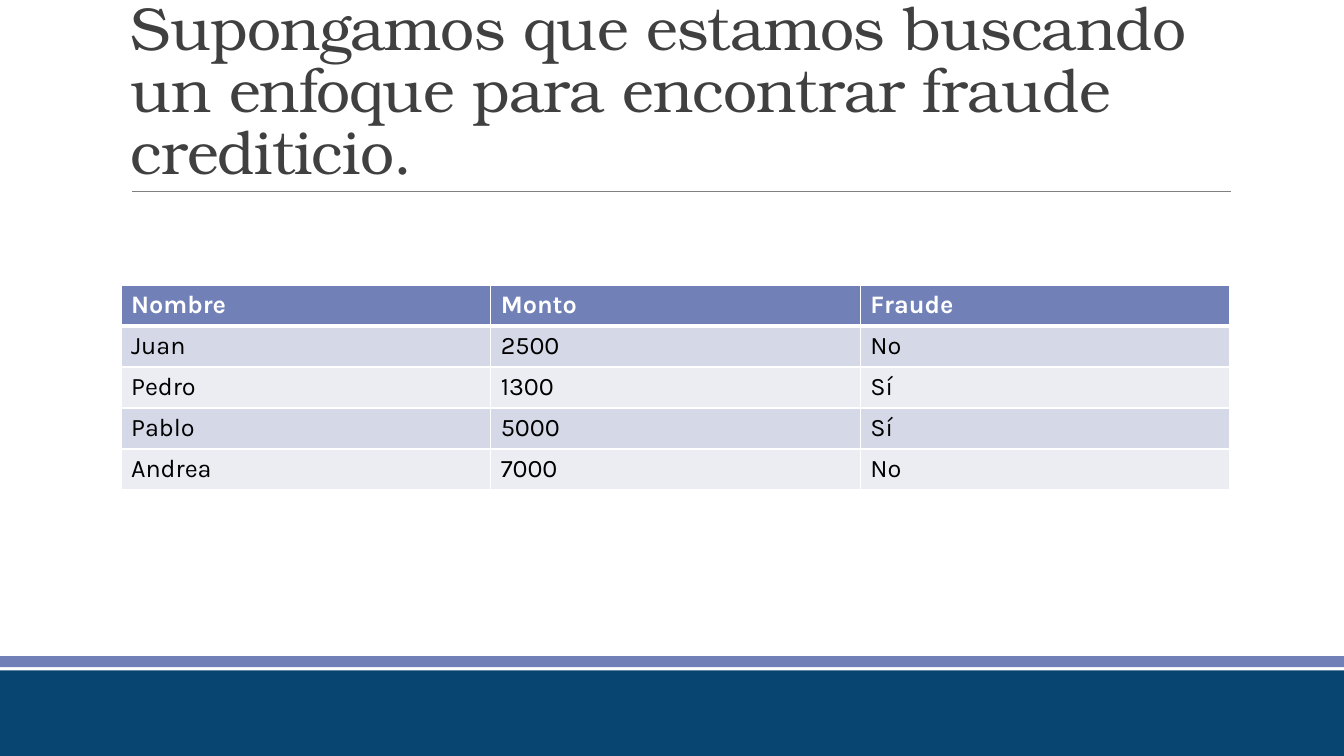
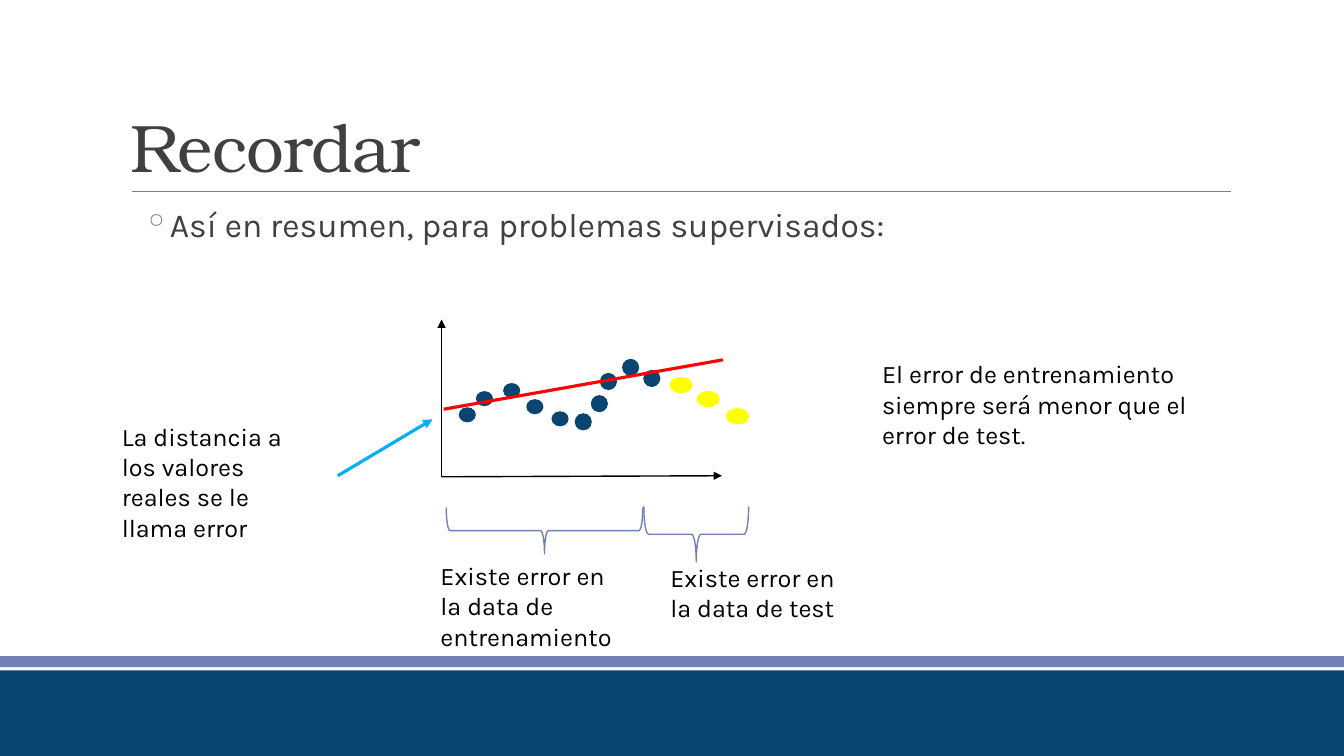
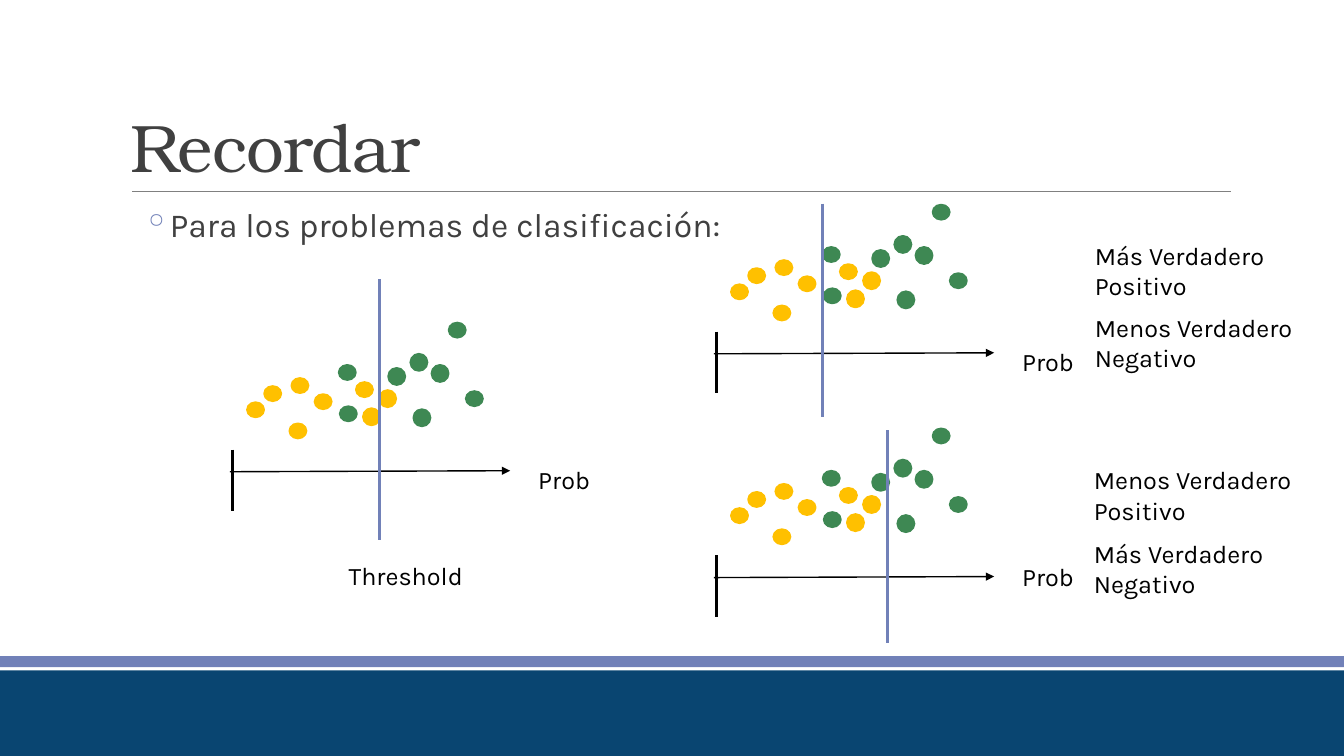
from dataclasses import dataclass

from pptx import Presentation
from pptx.dml.color import RGBColor
from pptx.enum.shapes import MSO_CONNECTOR, MSO_SHAPE
from pptx.enum.text import MSO_ANCHOR, MSO_AUTO_SIZE
from pptx.oxml.ns import qn
from pptx.oxml.xmlchemy import OxmlElement
from pptx.presentation import Presentation as Deck
from pptx.shapes.autoshape import Shape
from pptx.slide import Slide
from pptx.table import _Cell as Cell
from pptx.text.text import Font
from pptx.util import Emu, Pt

EMU_PER_PX = 9144
BLANK_LAYOUT = 6
STRAIGHT = MSO_CONNECTOR.STRAIGHT
RECTANGLE = MSO_SHAPE.RECTANGLE
OVAL = MSO_SHAPE.OVAL
RIGHT_BRACE = MSO_SHAPE.RIGHT_BRACE
ANCHOR_BOTTOM = MSO_ANCHOR.BOTTOM
FIT_SHAPE = MSO_AUTO_SIZE.SHAPE_TO_FIT_TEXT


@dataclass(frozen=True)
class Theme:
    heading_font: str = "TeX Gyre Bonum"
    body_font: str = "Karla"
    title_size: float = 48
    long_title_size: float = 43.2
    body_size: float = 24
    label_size: float = 18
    white: str = "FFFFFF"
    black: str = "000000"
    heading: str = "404040"
    rule: str = "808080"
    accent: str = "7181B8"
    navy: str = "094571"
    band_dark: str = "D5D8E6"
    band_light: str = "EBEDF3"
    red: str = "FF0000"
    sky: str = "00B0F0"
    yellow: str = "FFFF00"
    amber: str = "FFC000"
    green: str = "3E8853"


THEME = Theme()


@dataclass(frozen=True)
class Box:
    left: int
    top: int
    width: int
    height: int


@dataclass(frozen=True)
class Stroke:
    start: tuple[int, int]
    end: tuple[int, int]
    color: str = THEME.black
    points: float = 1
    arrow: bool = False


@dataclass(frozen=True)
class Label:
    text: str
    box: Box


@dataclass(frozen=True)
class Dot:
    dx: int
    dy: int
    height: int
    color: str


@dataclass(frozen=True)
class Panel:
    left: int
    axis_y: int
    threshold_x: int
    threshold_top: int
    threshold_bottom: int
    label_dy: int


SLIDE_WIDTH, SLIDE_HEIGHT = 1333, 750
TITLE_BOX = Box(120, 31, 1100, 159)
BODY_BOX = Box(120, 202, 1100, 62)
TABLE_BOX = Box(120, 283, 1100, 203)
BANDS = (
    (Box(0, 651, SLIDE_WIDTH, 11), THEME.accent),
    (Box(0, 665, SLIDE_WIDTH, 85), THEME.navy),
)
TITLE_RULE = Stroke((131, 190), (1221, 190), THEME.rule, 0.5)

FRAUD_ROWS = (
    ("Nombre", "Monto", "Fraude"),
    ("Juan", "2500", "No"),
    ("Pedro", "1300", "Sí"),
    ("Pablo", "5000", "Sí"),
    ("Andrea", "7000", "No"),
)

DOT_WIDTH = 17
CURVE = (
    Dot(17, -69, 15, THEME.amber),
    Dot(34, -85, 15, THEME.amber),
    Dot(61, -93, 15, THEME.amber),
    Dot(84, -77, 15, THEME.amber),
    Dot(109, -65, 15, THEME.green),
    Dot(132, -63, 17, THEME.amber),
    Dot(148, -81, 17, THEME.amber),
    Dot(157, -103, 17, THEME.green),
    Dot(179, -117, 17, THEME.green),
    Dot(200, -106, 17, THEME.green),
)
CLASSES = CURVE + (
    Dot(59, -48, 15, THEME.amber),
    Dot(108, -106, 15, THEME.green),
    Dot(182, -62, 17, THEME.green),
    Dot(125, -89, 15, THEME.amber),
    Dot(217, -148, 15, THEME.green),
    Dot(234, -80, 15, THEME.green),
)

ORIGIN = (438, 473)
ERROR_AXES = (
    Stroke(ORIGIN, (716, 472), arrow=True),
    Stroke(ORIGIN, (438, 317), arrow=True),
)
ERROR_LINES = (
    Stroke((717, 357), (440, 406), THEME.red, 2.25),
    Stroke((335, 472), (429, 416), THEME.sky, 2.25, True),
)
TEST_DOTS = (Box(664, 374, 23, 16), Box(691, 388, 23, 16), Box(720, 405, 23, 16))
BRACES = (Box(517, 429, 46, 195), Box(663, 478, 55, 104))
ERROR_LABELS = (
    Label("La distancia a los valores reales se le llama error", Box(111, 413, 213, 101)),
    Label("Existe error en la data de entrenamiento", Box(427, 551, 204, 101)),
    Label("Existe error en la data de test", Box(655, 553, 204, 71)),
    Label(
        "El error de entrenamiento siempre será menor que el error de test.",
        Box(865, 351, 340, 101),
    ),
)

PANELS = (
    Panel(228, 468, 376, 277, 536, -12),
    Panel(708, 351, 816, 202, 414, -12),
    Panel(708, 573, 880, 427, 638, -21),
)
CLASS_LABELS = (
    Label("Threshold", Box(336, 551, 165, 40)),
    Label("Más Verdadero Positivo", Box(1076, 233, 207, 71)),
    Label("Menos Verdadero Negativo", Box(1076, 305, 229, 71)),
    Label("Menos Verdadero Positivo", Box(1075, 456, 237, 71)),
    Label("Más Verdadero Negativo", Box(1075, 529, 229, 71)),
)


def px(length: int) -> Emu:
    return Emu(length * EMU_PER_PX)


def place(box: Box) -> tuple[Emu, Emu, Emu, Emu]:
    return px(box.left), px(box.top), px(box.width), px(box.height)


def rgb(color: str) -> RGBColor:
    return RGBColor.from_string(color)


def style_font(font: Font, name: str, size: float, color: str, bold: bool = False) -> None:
    font.name = name
    font.size = Pt(size)
    font.bold = bold
    font.color.rgb = rgb(color)


def draw_shape(
    slide: Slide, kind: MSO_SHAPE, box: Box, fill: str | None, outline: str | None = None,
    points: float = 1,
) -> Shape:
    shape = slide.shapes.add_shape(kind, *place(box))
    shape.shadow.inherit = False
    if fill:
        shape.fill.solid()
        shape.fill.fore_color.rgb = rgb(fill)
    else:
        shape.fill.background()
    if outline:
        shape.line.color.rgb = rgb(outline)
        shape.line.width = Pt(points)
    else:
        shape.line.fill.background()
    return shape


def draw_stroke(slide: Slide, stroke: Stroke) -> None:
    start, end = map(px, stroke.start), map(px, stroke.end)
    connector = slide.shapes.add_connector(STRAIGHT, *start, *end)
    connector.line.color.rgb = rgb(stroke.color)
    connector.line.width = Pt(stroke.points)
    properties = connector._element.spPr
    if stroke.arrow:
        tail = OxmlElement("a:tailEnd")
        tail.set("type", "triangle")
        properties.find(qn("a:ln")).append(tail)
    properties.append(OxmlElement("a:effectLst"))


def draw_text(slide: Slide, label: Label) -> Shape:
    shape = slide.shapes.add_textbox(*place(label.box))
    shape.text_frame.word_wrap = True
    shape.text_frame.text = label.text
    return shape


def draw_label(slide: Slide, label: Label) -> None:
    frame = draw_text(slide, label).text_frame
    frame.auto_size = FIT_SHAPE
    span = frame.paragraphs[0].runs[0]
    style_font(span.font, THEME.body_font, THEME.label_size, THEME.black)


def draw_body(slide: Slide, text: str) -> None:
    frame = draw_text(slide, Label(text, BODY_BOX)).text_frame
    frame.margin_left = frame.margin_right = 0
    para = frame.paragraphs[0]
    para.line_spacing = 0.9
    para.space_after = Pt(4)
    properties = para._p.get_or_add_pPr()
    properties.set("marL", str(px(42)))
    properties.set("indent", str(px(-20)))
    bullet_color = OxmlElement("a:buClr")
    color = OxmlElement("a:srgbClr")
    color.set("val", THEME.accent)
    bullet_color.append(color)
    bullet = OxmlElement("a:buChar")
    bullet.set("char", "◦")
    properties.extend((bullet_color, bullet))
    style_font(para.runs[0].font, THEME.body_font, THEME.body_size, THEME.heading)


def add_page(deck: Deck, title: str, size: float = THEME.title_size) -> Slide:
    page = deck.slides.add_slide(deck.slide_layouts[BLANK_LAYOUT])
    draw_stroke(page, TITLE_RULE)
    for box, color in BANDS:
        draw_shape(page, RECTANGLE, box, color)
    frame = draw_text(page, Label(title, TITLE_BOX)).text_frame
    frame.vertical_anchor = ANCHOR_BOTTOM
    para = frame.paragraphs[0]
    para.line_spacing = 0.85
    span = para.runs[0]
    style_font(span.font, THEME.heading_font, size, THEME.heading)
    span._r.get_or_add_rPr().set("spc", "-50")
    return page


def set_borders(cell: Cell, top: float, bottom: float) -> None:
    properties = cell._tc.get_or_add_tcPr()
    for side, points in (("L", 1), ("R", 1), ("T", top), ("B", bottom)):
        border = OxmlElement(f"a:ln{side}")
        border.set("w", str(Pt(points)))
        fill = OxmlElement("a:solidFill")
        color = OxmlElement("a:srgbClr")
        color.set("val", THEME.white)
        fill.append(color)
        border.append(fill)
        properties.append(border)


def draw_table(slide: Slide, rows: tuple[tuple[str, ...], ...]) -> None:
    table = slide.shapes.add_table(len(rows), len(rows[0]), *place(TABLE_BOX)).table
    table.horz_banding = False
    for row, texts in enumerate(rows):
        header = row == 0
        band = THEME.band_dark if row % 2 else THEME.band_light
        for column, text in enumerate(texts):
            cell = table.cell(row, column)
            set_borders(cell, 3 if row == 1 else 1, 3 if header else 1)
            cell.fill.solid()
            cell.fill.fore_color.rgb = rgb(THEME.accent if header else band)
            cell.text_frame.text = text
            span = cell.text_frame.paragraphs[0].runs[0]
            color = THEME.white if header else THEME.black
            style_font(span.font, THEME.body_font, THEME.label_size, color, header)


def dot_box(dot: Dot, left: int, axis_y: int) -> Box:
    return Box(left + dot.dx, axis_y + dot.dy, DOT_WIDTH, dot.height)


def draw_panel(slide: Slide, panel: Panel) -> None:
    left, axis_y = panel.left, panel.axis_y
    draw_stroke(slide, Stroke((left, axis_y), (left + 278, axis_y - 1), arrow=True))
    for dot in CLASSES:
        draw_shape(slide, OVAL, dot_box(dot, left, axis_y), dot.color, dot.color, 1.25)
    tick_x = left + 3
    draw_stroke(slide, Stroke((tick_x, axis_y - 22), (tick_x, axis_y + 39), points=2.25))
    draw_label(slide, Label("Prob", Box(left + 296, axis_y + panel.label_dy, 96, 40)))
    top = (panel.threshold_x, panel.threshold_top)
    bottom = (panel.threshold_x, panel.threshold_bottom)
    draw_stroke(slide, Stroke(top, bottom, THEME.accent, 2.25))


def build_fraud_page(deck: Deck) -> None:
    title = "Supongamos que estamos buscando un enfoque para encontrar fraude crediticio."
    page = add_page(deck, title, THEME.long_title_size)
    draw_table(page, FRAUD_ROWS)


def build_error_page(deck: Deck) -> None:
    page = add_page(deck, "Recordar")
    draw_body(page, "Así en resumen, para problemas supervisados:")
    for axis in ERROR_AXES:
        draw_stroke(page, axis)
    for dot in CURVE:
        draw_shape(page, OVAL, dot_box(dot, *ORIGIN), THEME.navy)
    for line in ERROR_LINES:
        draw_stroke(page, line)
    for box in TEST_DOTS:
        draw_shape(page, OVAL, box, THEME.yellow)
    for box in BRACES:
        draw_shape(page, RIGHT_BRACE, box, None, THEME.accent).rotation = 90
    for label in ERROR_LABELS:
        draw_label(page, label)


def build_threshold_page(deck: Deck) -> None:
    page = add_page(deck, "Recordar")
    draw_body(page, "Para los problemas de clasificación:")
    for panel in PANELS:
        draw_panel(page, panel)
    for label in CLASS_LABELS:
        draw_label(page, label)


def main() -> None:
    deck = Presentation()
    deck.slide_width = px(SLIDE_WIDTH)
    deck.slide_height = px(SLIDE_HEIGHT)
    build_fraud_page(deck)
    build_error_page(deck)
    build_threshold_page(deck)
    deck.save("out.pptx")


if __name__ == "__main__":
    main()
